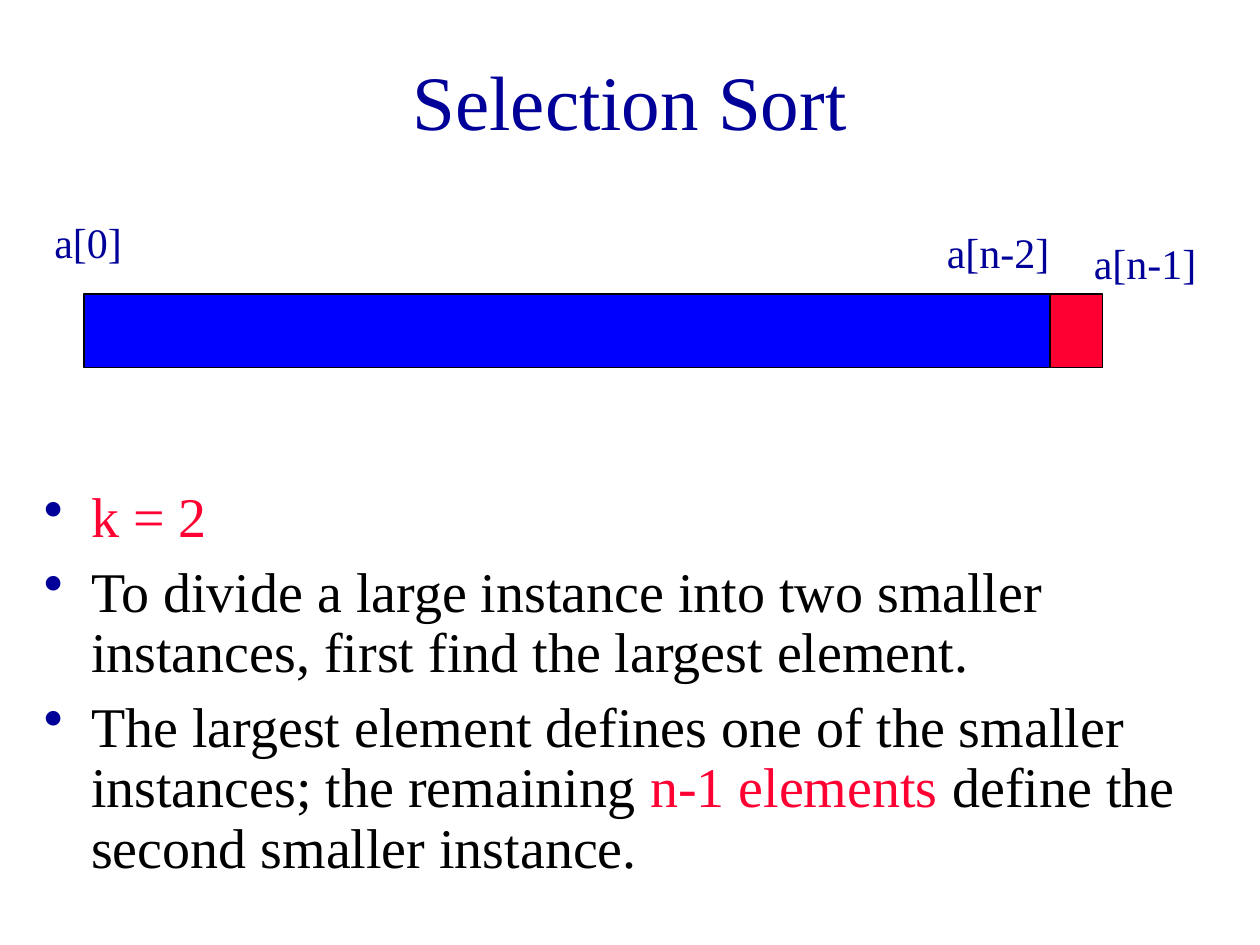
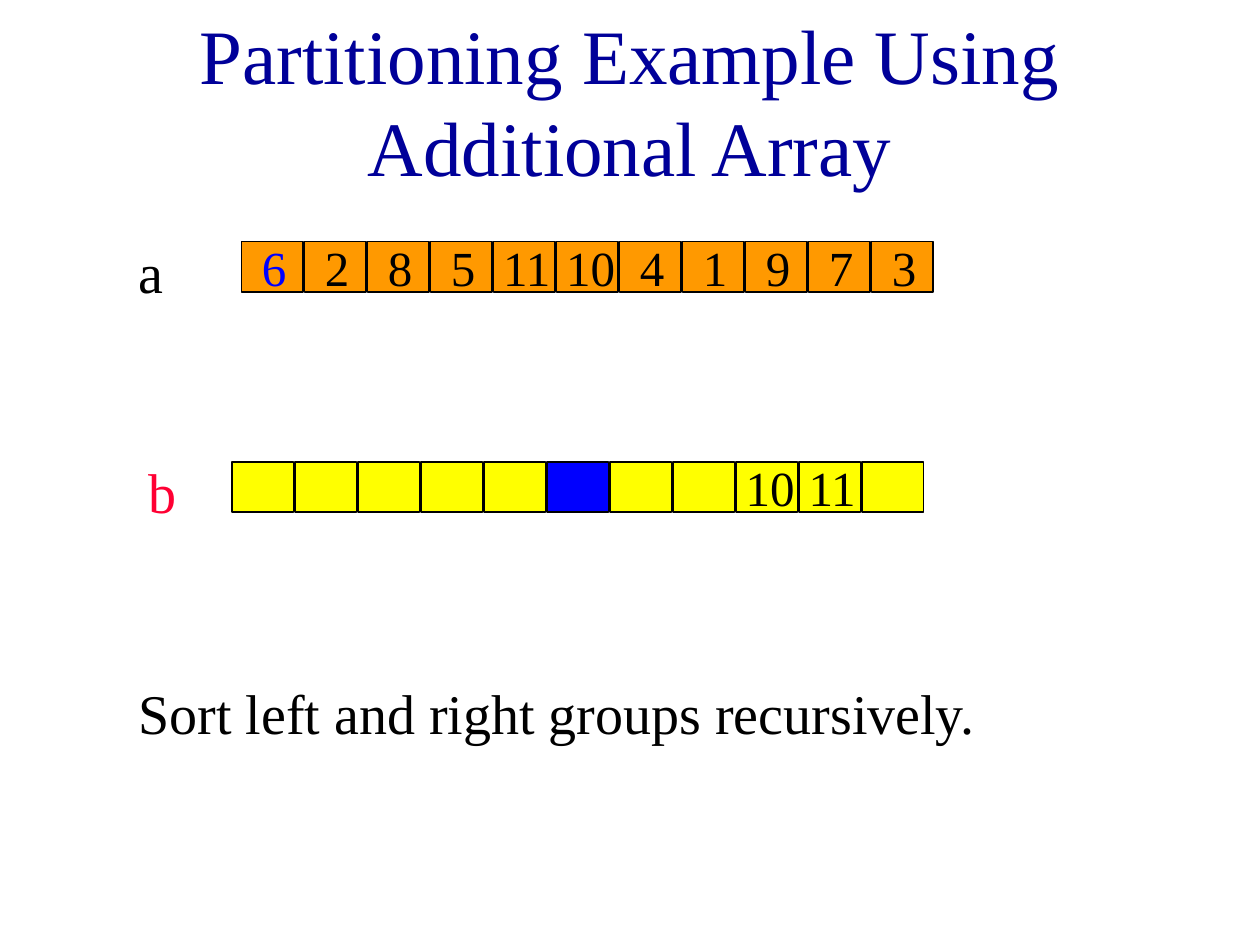
"""Build two slides on selection sort and on partitioning with an additional array."""
from lxml.etree import SubElement
from pptx import Presentation
from pptx.dml.color import RGBColor as Rgb
from pptx.enum.shapes import MSO_SHAPE as Shape
from pptx.enum.text import MSO_ANCHOR as Anchor, PP_ALIGN as Align
from pptx.oxml.ns import qn
from pptx.util import Pt

FONT = "Times New Roman"
COLORS = {"navy": "000099", "red": "FF0033", "blue": "0000FF",
          "orange": "FF9900", "yellow": "FFFF00", "black": "000000"}


def add_text(page, paragraphs, left, top, width, height, size, color):
    """Add a text box; each paragraph is a list of (text, colour) spans."""
    box = page.shapes.add_textbox(Pt(left), Pt(top), Pt(width), Pt(height))
    frame = box.text_frame
    frame.word_wrap = True
    if isinstance(paragraphs, str):
        paragraphs = [[(paragraphs, color)]]
    for index, spans in enumerate(paragraphs):
        para = frame.add_paragraph() if index else frame.paragraphs[0]
        for text, span_color in spans:
            span = para.add_run()
            span.text = text
            span.font.name = FONT
            span.font.size = Pt(size)
            span.font.color.rgb = Rgb.from_string(COLORS[span_color])
    return frame


def add_block(page, left, top, width, height, fill):
    """Add a filled rectangle with a thin black outline."""
    block = page.shapes.add_shape(Shape.RECTANGLE, Pt(left), Pt(top), Pt(width), Pt(height))
    block.shadow.inherit = False
    block.fill.solid()
    block.fill.fore_color.rgb = Rgb.from_string(COLORS[fill])
    block.line.color.rgb = Rgb.from_string(COLORS["black"])
    block.line.width = Pt(1)


deck = Presentation()
deck.slide_width, deck.slide_height = Pt(720), Pt(540)

pages = []
for title in ("Selection Sort", "Partitioning Example Using Additional Array"):
    page = deck.slides.add_slide(deck.slide_layouts[6])
    frame = add_text(page, title, 54, 12, 612, 90, 44, "navy")
    frame.vertical_anchor = Anchor.MIDDLE
    frame.paragraphs[0].alignment = Align.CENTER
    pages.append(page)
selection_page, partition_page = pages

points = [
    [("k = 2", "red")],
    [("To divide a large instance into two smaller instances, "
      "first find the largest element.", "black")],
    [("The largest element defines one of the smaller instances; the remaining ", "black"),
     ("n-1 elements", "red"),
     (" define the second smaller instance.", "black")],
]
body = add_text(selection_page, points, 18, 276, 684, 246, 32, "black")
for index, para in enumerate(body.paragraphs):
    para.line_spacing = 0.9
    if index:
        para.space_before = Pt(8)
    properties = para._p.get_or_add_pPr()
    properties.set("marL", str(Pt(27)))
    properties.set("indent", str(-Pt(27)))
    bullet_color = SubElement(properties, qn("a:buClr"))
    SubElement(bullet_color, qn("a:srgbClr"), val=COLORS["navy"])
    SubElement(properties, qn("a:buChar"), char="•")

add_block(selection_page, 48, 168, 552, 42, "blue")
add_block(selection_page, 600, 168, 30, 42, "red")
for label, left, top in (("a[0]", 24, 120), ("a[n-2]", 534, 126), ("a[n-1]", 618, 132)):
    add_text(selection_page, label, left, top, 78, 36, 24, "navy")

CELL_PITCH, CELL_WIDTH, CELL_HEIGHT = 36, 35.3, 28.8
arrays = [
    ("a", "black", 72, 138, 138, "orange",
     ["6", "2", "8", "5", "11", "10", "4", "1", "9", "7", "3"]),
    ("b", "red", 78, 132.5, 264, "yellow", [""] * 8 + ["10", "11", ""]),
]
pivot_cells = {("b", 5): "blue"}
pivot_values = {("a", 0): "blue"}

for name, name_color, name_left, row_left, row_top, fill, values in arrays:
    add_text(partition_page, name, name_left, row_top - 6, 36, 45, 32, name_color)
    for index, value in enumerate(values):
        left = row_left + index * CELL_PITCH
        cell_fill = pivot_cells.get((name, index), fill)
        add_block(partition_page, left, row_top, CELL_WIDTH, CELL_HEIGHT, cell_fill)
        if value:
            shift, width = (4.5, 37.5) if len(value) == 1 else (-1.5, 55)
            value_color = pivot_values.get((name, index), "black")
            add_text(partition_page, value, left + shift, row_top - 6, width, 41, 28, value_color)

add_text(partition_page, "Sort left and right groups recursively.", 72, 384, 564, 45, 32, "black")

deck.save("out.pptx")
